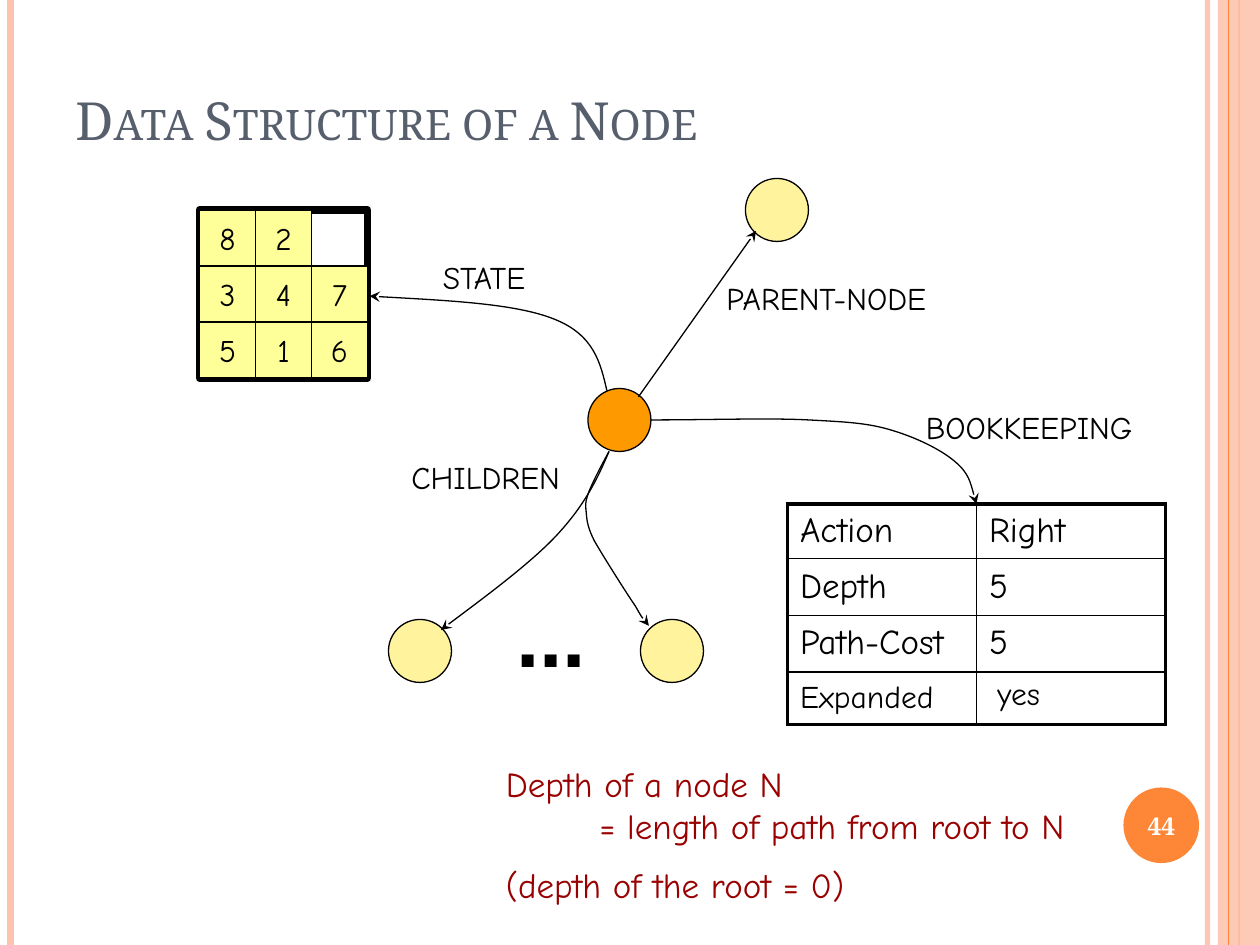
from dataclasses import dataclass
from itertools import product
from lxml.etree import SubElement
from pptx import Presentation
from pptx.dml.color import RGBColor
from pptx.enum.shapes import MSO_CONNECTOR, MSO_SHAPE
from pptx.enum.text import MSO_ANCHOR, PP_ALIGN
from pptx.oxml.ns import qn
from pptx.util import Emu, Inches, Pt


@dataclass(frozen=True)
class Theme:
    black: str = "000000"
    white: str = "FFFFFF"
    slate: str = "575F6D"
    orange: str = "FE8637"
    peach: str = "FEC3AE"
    node: str = "FF9900"
    neighbour: str = "FFF39D"
    tile: str = "FFFF99"
    note: str = "990000"
    hand: str = "Comic Neue"
    serif: str = "Noto Serif"
    sans: str = "Arial"
    title_size: int = 30
    note_size: int = 20
    label_size: int = 18
    number_size: int = 14
    dots_size: int = 48
    thin: float = 0.75


THEME = Theme()
COLUMNS, ROWS = 120, 90
UNIT = Inches(10) // COLUMNS
NODE_SIZE = 6


def grid(value):
    """Turn grid columns or rows into a length."""
    return Emu(round(value * UNIT))


def set_alpha(element, percent):
    color = next(element.iter(qn("a:srgbClr")))
    SubElement(color, qn("a:alpha")).set("val", str(percent * 1000))


def style_line(shape, color, width, arrow=False):
    shape.line.color.rgb = RGBColor.from_string(color)
    shape.line.width = Pt(width)
    if arrow:
        line = shape._element.spPr.get_or_add_ln()
        SubElement(line, qn("a:tailEnd")).set("type", "stealth")


def style_text(frame, size, color=THEME.black, font=THEME.hand, bold=False, align=PP_ALIGN.LEFT):
    for paragraph in frame.paragraphs:
        paragraph.alignment = align
        for run in paragraph.runs:
            run.font.size, run.font.name, run.font.bold = Pt(size), font, bold
            run.font.color.rgb = RGBColor.from_string(color)


def add_line(slide, start, end, color=THEME.black, width=THEME.thin, arrow=False):
    line = slide.shapes.add_connector(MSO_CONNECTOR.STRAIGHT, *map(grid, start + end))
    style_line(line, color, width, arrow)
    SubElement(line._element.spPr, qn("a:effectLst"))
    return line


def add_box(slide, kind, box, fill=None, line=THEME.black, width=THEME.thin):
    shape = slide.shapes.add_shape(kind, *map(grid, box))
    shape.shadow.inherit = False
    if fill:
        shape.fill.solid()
        shape.fill.fore_color.rgb = RGBColor.from_string(fill)
    else:
        shape.fill.background()
    if line:
        style_line(shape, line, width)
    else:
        shape.line.fill.background()
    return shape


def add_node(slide, left, top, fill=THEME.neighbour):
    add_box(slide, MSO_SHAPE.OVAL, (left, top, NODE_SIZE, NODE_SIZE), fill)


def add_text(slide, box, text, size, wrap=False, anchor=MSO_ANCHOR.TOP, **style):
    frame = slide.shapes.add_textbox(*map(grid, box)).text_frame
    frame.word_wrap, frame.vertical_anchor = wrap, anchor
    frame.text = text
    style_text(frame, size, **style)
    return frame


def add_curve(slide, points):
    """Draw an arrow along cubic curves: a start, then three points per curve."""
    start, *rest = [(grid(x), grid(y)) for x, y in points]
    builder = slide.shapes.build_freeform(*start)
    builder.add_line_segments(rest, close=False)
    shape = builder.convert_to_shape()
    shape.shadow.inherit = False
    shape.fill.background()
    style_line(shape, THEME.black, THEME.thin, arrow=True)
    outline = next(shape._element.iter(qn("a:path")))
    segments = outline.findall(qn("a:lnTo"))
    for first in range(0, len(segments), 3):
        curve = SubElement(outline, qn("a:cubicBezTo"))
        for segment in segments[first:first + 3]:
            curve.append(segment[0])
            outline.remove(segment)


def add_decoration(slide):
    edge = add_line(slide, (115, 0), (115, ROWS), THEME.peach, 3)
    set_alpha(edge._element.spPr, 93)
    add_line(slide, (1, 0), (1, ROWS), THEME.peach, 4.5)
    add_line(slide, (118, 0), (118, ROWS), THEME.orange, 1.5)
    band = add_box(slide, MSO_SHAPE.RECTANGLE, (116, 0, 4, ROWS), THEME.peach, None)
    set_alpha(band._element.spPr, 87)
    add_line(slide, (117, 0), (117, ROWS), THEME.orange)
    add_box(slide, MSO_SHAPE.OVAL, (107, 75, 7.2, 7.2), THEME.orange, None)
    add_text(slide, (106.6, 75.2, 8, 6.8), "44", THEME.number_size, True, MSO_ANCHOR.MIDDLE,
             color=THEME.white, font=THEME.serif, bold=True, align=PP_ALIGN.CENTER)


def add_puzzle(slide, left, top, rows):
    size, tile = 16, 16 / 3
    add_box(slide, MSO_SHAPE.RECTANGLE, (left, top, size, size), width=4.5)
    for row, column in product(range(3), repeat=2):
        if rows[row][column] == " ":
            continue
        box = (left + column * tile, top + row * tile, tile, tile)
        frame = add_box(slide, MSO_SHAPE.RECTANGLE, box, THEME.tile).text_frame
        frame.word_wrap, frame.vertical_anchor = False, MSO_ANCHOR.MIDDLE
        frame.text = rows[row][column]
        style_text(frame, THEME.label_size, align=PP_ALIGN.CENTER)


def add_border(cell, side, width):
    line = SubElement(cell._tc.get_or_add_tcPr(), qn("a:ln" + side), w=str(Pt(width)))
    fill = SubElement(line, qn("a:solidFill"))
    SubElement(fill, qn("a:srgbClr")).set("val", THEME.black)


def add_record(slide, left, top, records, heights):
    last = len(records) - 1
    table = slide.shapes.add_table(len(records), 2, grid(left), grid(top),
                                   grid(36), grid(sum(heights))).table
    table.first_row = table.horz_banding = False
    for row, record in enumerate(records):
        table.rows[row].height = grid(heights[row])
        size = THEME.label_size if row == last else THEME.note_size
        for column, text in enumerate(record):
            cell = table.cell(row, column)
            outer = {"L": column == 0, "R": column == 1, "T": row == 0, "B": row == last}
            for side, is_outer in outer.items():
                add_border(cell, side, 2.25 if is_outer else 1)
            cell.fill.background()
            cell.margin_top = cell.margin_bottom = grid(0.3)
            cell.vertical_anchor = MSO_ANCHOR.MIDDLE
            cell.text_frame.text = text
            style_text(cell.text_frame, size)
    answer = table.cell(last, 1)
    answer.margin_left, answer.margin_bottom = grid(2), grid(0.9)


def add_note(slide):
    lines = "Depth of a node N\n= length of path from root to N\n(depth of the root = 0)"
    frame = add_text(slide, (47, 72, 60.6, 14.8), lines, THEME.note_size, True, color=THEME.note)
    definition, root = frame.paragraphs[1:]
    definition._p.get_or_add_pPr().set("marL", str(grid(8.9)))
    root.space_before = Pt(9.6)


def main():
    presentation = Presentation()
    presentation.slide_width, presentation.slide_height = grid(COLUMNS), grid(ROWS)
    slide = presentation.slides.add_slide(presentation.slide_layouts[6])
    add_decoration(slide)
    title = add_text(slide, (6, 0, 98, 15), "Data Structure of a Node", THEME.title_size, True,
                     MSO_ANCHOR.BOTTOM, color=THEME.slate, font=THEME.serif)
    title.paragraphs[0].runs[0].font._element.set("cap", "small")

    # Nodes
    add_node(slide, 56, 37, THEME.node)
    for left, top in ((71, 17), (37, 59), (61, 59)):
        add_node(slide, left, top)
    add_text(slide, (48, 55, 9.1, 10.8), "...", THEME.dots_size, font=THEME.sans, bold=True)

    # State, bookkeeping record and definition
    add_puzzle(slide, 19, 20, ("82 ", "347", "516"))
    add_record(slide, 75, 48, (("Action", "Right"), ("Depth", "5"), ("Path-Cost", "5"),
                               ("Expanded", "yes")), (5.2, 5.4, 5.4, 5))
    add_note(slide)

    # Arrows to parent, state, bookkeeping and the two children
    add_line(slide, (60.8, 37.8), (72, 22), arrow=True)
    add_curve(slide, ((57.8, 37.2), (57.2, 34.6), (56.6, 31.9), (52.8, 30.4),
                      (49.1, 28.9), (42.1, 28.6), (35.2, 28.2)))
    add_curve(slide, ((62, 40), (67.6, 40), (73.2, 39.8), (77, 40), (80.8, 40.2), (82.7, 40.3),
                      (85, 41), (87.3, 41.7), (89.6, 42.8), (91, 44),
                      (92.3, 45.1), (92.6, 46.6), (93, 48)))
    add_curve(slide, ((58, 43), (56.9, 45.6), (55.7, 48.1), (53, 51),
                      (50.3, 53.9), (43.8, 58.6), (42, 60)))
    add_curve(slide, ((58, 43), (57.3, 44.3), (56.6, 45.6), (56.1, 46.8),
                      (55.9, 47.4), (55.7, 47.8), (55.8, 48.5),
                      (55.9, 49.3), (55.8, 49.9), (56.6, 51.5),
                      (57.4, 52.9), (59.6, 56.4), (60.5, 57.7),
                      (61.3, 59.1), (61.6, 59.4), (61.8, 59.6)))

    # Arrow labels
    for text, left, top, width in (("PARENT-NODE", 68, 26, 24.5), ("STATE", 41, 24, 12.6),
                                   ("BOOKKEEPING", 87, 38.3, 24.1), ("CHILDREN", 38, 43, 18.1)):
        add_text(slide, (left, top, width, 4.8), text, THEME.label_size)
    presentation.save("out.pptx")


main()
